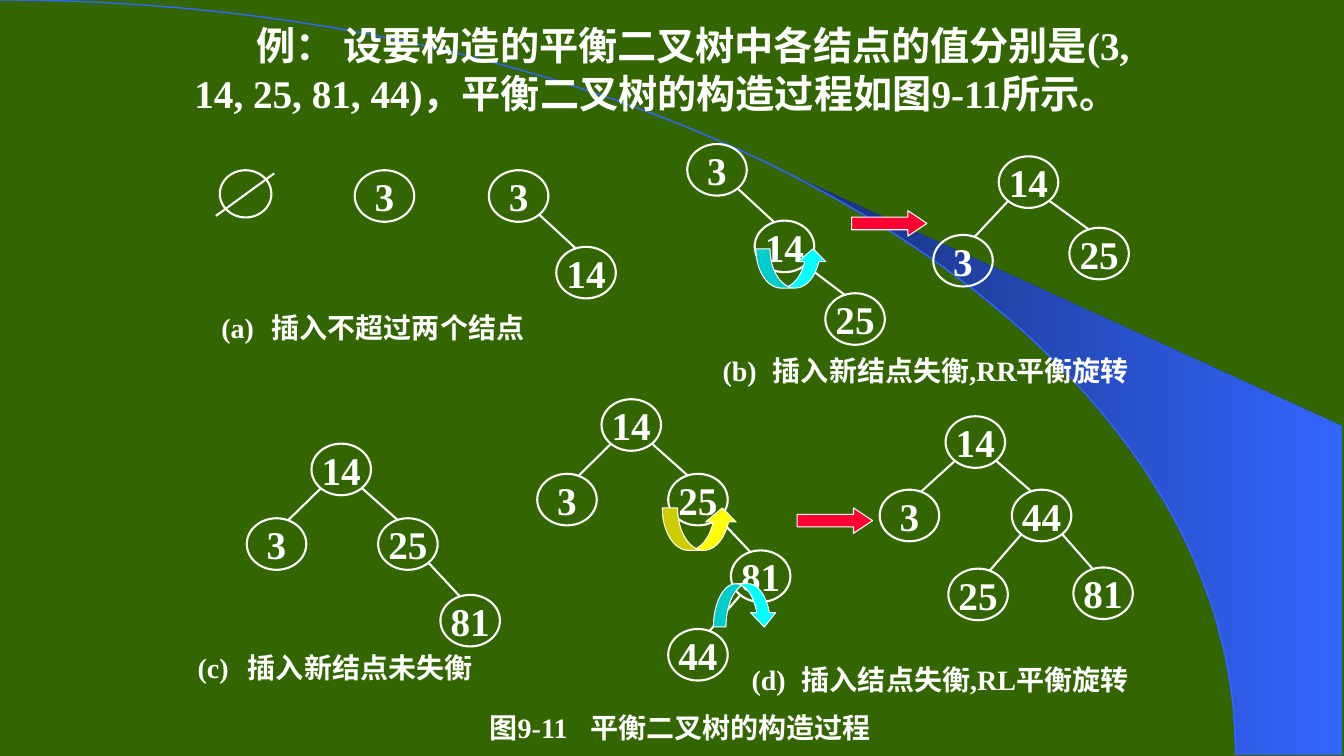
from dataclasses import dataclass

from lxml import etree
from pptx import Presentation
from pptx.dml.color import RGBColor
from pptx.enum.shapes import MSO_CONNECTOR, MSO_SHAPE
from pptx.enum.text import MSO_ANCHOR, PP_ALIGN
from pptx.oxml.ns import qn
from pptx.util import Cm, Pt

GREEN = RGBColor(0x33, 0x66, 0x00)
WHITE = RGBColor(0xFF, 0xFF, 0xFF)
NAVY = RGBColor(0x18, 0x2F, 0x76)
BLUE = RGBColor(0x33, 0x66, 0xFF)
RED = RGBColor(0xFF, 0x00, 0x33)
CYAN = RGBColor(0x00, 0xFF, 0xFF)
YELLOW = RGBColor(0xFF, 0xFF, 0x00)

OVAL = MSO_SHAPE.OVAL
RIGHT_ARROW = MSO_SHAPE.RIGHT_ARROW
CURVED_UP = MSO_SHAPE.CURVED_UP_ARROW
CURVED_DOWN = MSO_SHAPE.CURVED_DOWN_ARROW
STRAIGHT = MSO_CONNECTOR.STRAIGHT
MIDDLE = MSO_ANCHOR.MIDDLE
TOP = MSO_ANCHOR.TOP
LEFT = PP_ALIGN.LEFT
CENTER = PP_ALIGN.CENTER

LATIN_FONT = "Times New Roman"
CHINESE_FONT = "Noto Sans CJK SC"
NODE_WIDTH, NODE_HEIGHT = 1.5, 1.3
ARC_CONTROLS = [(0, 0), (17.2, 0), (31.14, 8.51), (31.14, 19.02)]
SWOOSH_START = 0.44
SWOOSH_STEPS = 14
SWOOSH_CORNERS = [(33.81, 19.02), (33.81, 10.74)]


@dataclass(frozen=True)
class Node:
    value: str
    left: float
    top: float
    parent: int | None = None


@dataclass(frozen=True)
class Arrow:
    kind: MSO_SHAPE
    left: float
    top: float
    width: float
    height: float
    color: RGBColor
    adjustments: tuple[float, ...]


@dataclass(frozen=True)
class Caption:
    text: str
    left: float
    top: float
    width: float
    height: float
    tab: float = 1.52


TREES = [
    [Node("3", 8.94, 4.29)],
    [Node("3", 12.32, 4.29), Node("14", 14.02, 6.22, 0)],
    [Node("3", 17.32, 3.63), Node("14", 19.02, 5.56, 0), Node("25", 20.8, 7.39, 1)],
    [Node("14", 25.17, 3.94), Node("3", 23.52, 5.92, 0), Node("25", 26.95, 5.74, 0)],
    [Node("14", 7.85, 11.18), Node("3", 6.22, 13.06, 0),
     Node("25", 9.53, 13.06, 0), Node("81", 11.1, 14.99, 2)],
    [Node("14", 15.16, 10.06), Node("3", 13.54, 11.94, 0), Node("25", 16.84, 11.94, 0),
     Node("81", 18.42, 13.87, 2), Node("44", 16.84, 15.85, 3)],
    [Node("14", 23.83, 10.49), Node("3", 22.17, 12.34, 0), Node("44", 25.5, 12.34, 0),
     Node("81", 27.05, 14.3, 2), Node("25", 23.9, 14.33, 2)],
]
ARROWS = [
    Arrow(RIGHT_ARROW, 21.46, 5.31, 1.9, 0.64, RED, (0.5, 0.75)),
    Arrow(RIGHT_ARROW, 20.09, 12.8, 1.9, 0.64, RED, (0.5, 0.75)),
    Arrow(CURVED_UP, 19.05, 6.27, 1.8, 0.99, CYAN, (0.36, 0.72, 0.33)),
    Arrow(CURVED_DOWN, 17.98, 14.71, 1.6, 1.09, CYAN, (0.29, 0.58, 0.33)),
    Arrow(CURVED_UP, 16.69, 12.8, 1.9, 1.07, YELLOW, (0.36, 0.72, 0.33)),
]
CAPTIONS = [
    Caption("(a)\t插入不超过两个结点", 5.58, 7.7, 8.2, 1.09),
    Caption("(b)\t插入新结点失衡,RR平衡旋转", 18.21, 8.84, 11.5, 0.99),
    Caption("(c)\t插入新结点未失衡", 4.98, 16.43, 7.59, 0.79),
    Caption("(d)\t插入结点失衡,RL平衡旋转", 18.94, 16.61, 10.8, 1.02),
    Caption("图9-11\t平衡二叉树的构造过程", 12.34, 17.93, 10.4, 0.81, 2.7),
]
TITLE = ("例： 设要构造的平衡二叉树中各结点的值分别是(3, 14, 25, 81, 44)，"
         "平衡二叉树的构造过程如图9-11所示。")


def write_text(box, text: str, *, size: float, align: PP_ALIGN = LEFT,
               anchor: MSO_ANCHOR = MIDDLE, wrap: bool = False, indent: float = 0,
               tab: float | None = None, spacing: float | None = None) -> None:
    frame = box.text_frame
    frame.word_wrap = wrap
    frame.vertical_anchor = anchor
    para = frame.paragraphs[0]
    properties = para._p.get_or_add_pPr()
    properties.set("indent", str(Cm(indent)))
    if tab is not None:
        frame.margin_left = frame.margin_right = 0
        stops = etree.SubElement(properties, qn("a:tabLst"))
        etree.SubElement(stops, qn("a:tab"), pos=str(Cm(tab)), algn="l")
    para.alignment = align
    if spacing is not None:
        para.line_spacing = Pt(spacing)
    span = para.add_run()
    span.text = text
    span.font.size = Pt(size)
    span.font.bold = True
    span.font.name = LATIN_FONT
    span.font.color.rgb = WHITE
    etree.SubElement(span._r.get_or_add_rPr(), qn("a:ea"), typeface=CHINESE_FONT)


def arc_point(t: float) -> tuple[float, float]:
    weights = ((1 - t) ** 3, 3 * t * (1 - t) ** 2, 3 * t * t * (1 - t), t ** 3)
    x, y = (sum(weight * control[axis] for weight, control in zip(weights, ARC_CONTROLS))
            for axis in (0, 1))
    return x, y


def add_outline(page, points: list[tuple[float, float]], *, close: bool):
    corners = [(Cm(x), Cm(y)) for x, y in points]
    builder = page.shapes.build_freeform(*corners[0])
    builder.add_line_segments(corners[1:], close=close)
    outline = builder.convert_to_shape()
    outline.shadow.inherit = False
    return outline


def bend(outline) -> None:
    outline_path = next(outline._element.iter(qn("a:path")))
    segments = outline_path.findall(qn("a:lnTo"))
    curve = etree.SubElement(outline_path, qn("a:cubicBezTo"))
    for segment in segments:
        curve.append(segment[0])
        outline_path.remove(segment)


def draw_backdrop(page) -> None:
    page.background.fill.solid()
    page.background.fill.fore_color.rgb = GREEN
    edge = [arc_point(SWOOSH_START + (1 - SWOOSH_START) * step / SWOOSH_STEPS)
            for step in range(SWOOSH_STEPS + 1)]
    swoosh = add_outline(page, edge + SWOOSH_CORNERS, close=True)
    swoosh.fill.gradient()
    swoosh.fill.gradient_angle = 0
    for stop, color in zip(swoosh.fill.gradient_stops, (NAVY, BLUE)):
        stop.color.rgb = color
    swoosh.line.fill.background()
    arc = add_outline(page, ARC_CONTROLS, close=False)
    bend(arc)
    arc.fill.background()
    arc.line.color.rgb = BLUE
    arc.line.width = Pt(1)


def draw_circle(page, left: float, top: float, width: float, height: float):
    circle = page.shapes.add_shape(OVAL, Cm(left), Cm(top), Cm(width), Cm(height))
    circle.shadow.inherit = False
    circle.fill.background()
    circle.line.color.rgb = WHITE
    circle.line.width = Pt(1.5)
    return circle


def draw_line(page, start: tuple[float, float], end: tuple[float, float]) -> None:
    line = page.shapes.add_connector(STRAIGHT, *map(Cm, start + end))
    line.line.color.rgb = WHITE
    line.line.width = Pt(1.5)
    etree.SubElement(line._element.spPr, qn("a:effectLst"))


def draw_tree(page, tree: list[Node]) -> None:
    for node in tree:
        circle = draw_circle(page, node.left, node.top, NODE_WIDTH, NODE_HEIGHT)
        write_text(circle, node.value, size=28, align=CENTER)
        if node.parent is not None:
            parent = tree[node.parent]
            leave, arrive = (0.25, 1.04) if node.left < parent.left else (1.26, 0.5)
            draw_line(page, (parent.left + leave, parent.top + 1.11),
                      (node.left + arrive, node.top + 0.05))


def draw_arrow(page, arrow: Arrow) -> None:
    shape = page.shapes.add_shape(arrow.kind, Cm(arrow.left), Cm(arrow.top),
                                  Cm(arrow.width), Cm(arrow.height))
    shape.shadow.inherit = False
    for index, value in enumerate(arrow.adjustments):
        shape.adjustments[index] = value
    shape.fill.solid()
    shape.fill.fore_color.rgb = arrow.color
    shape.line.color.rgb = WHITE
    shape.line.width = Pt(0.75)


def main() -> None:
    deck = Presentation()
    deck.slide_width, deck.slide_height = Cm(33.87), Cm(19.05)
    page = deck.slides.add_slide(deck.slide_layouts[6])
    draw_backdrop(page)
    title = page.shapes.add_textbox(Cm(4.65), Cm(0.38), Cm(24.49), Cm(2.74))
    write_text(title, TITLE, size=28, anchor=TOP, wrap=True, indent=1.56, spacing=34.3)
    draw_circle(page, 5.54, 4.29, 1.3, 1.19)
    draw_line(page, (6.91, 4.37), (5.44, 5.44))
    for tree in TREES:
        draw_tree(page, tree)
    for arrow in ARROWS:
        draw_arrow(page, arrow)
    for caption in CAPTIONS:
        box = page.shapes.add_textbox(Cm(caption.left), Cm(caption.top),
                                      Cm(caption.width), Cm(caption.height))
        write_text(box, caption.text, size=20, tab=caption.tab)
    deck.save("out.pptx")


if __name__ == "__main__":
    main()
